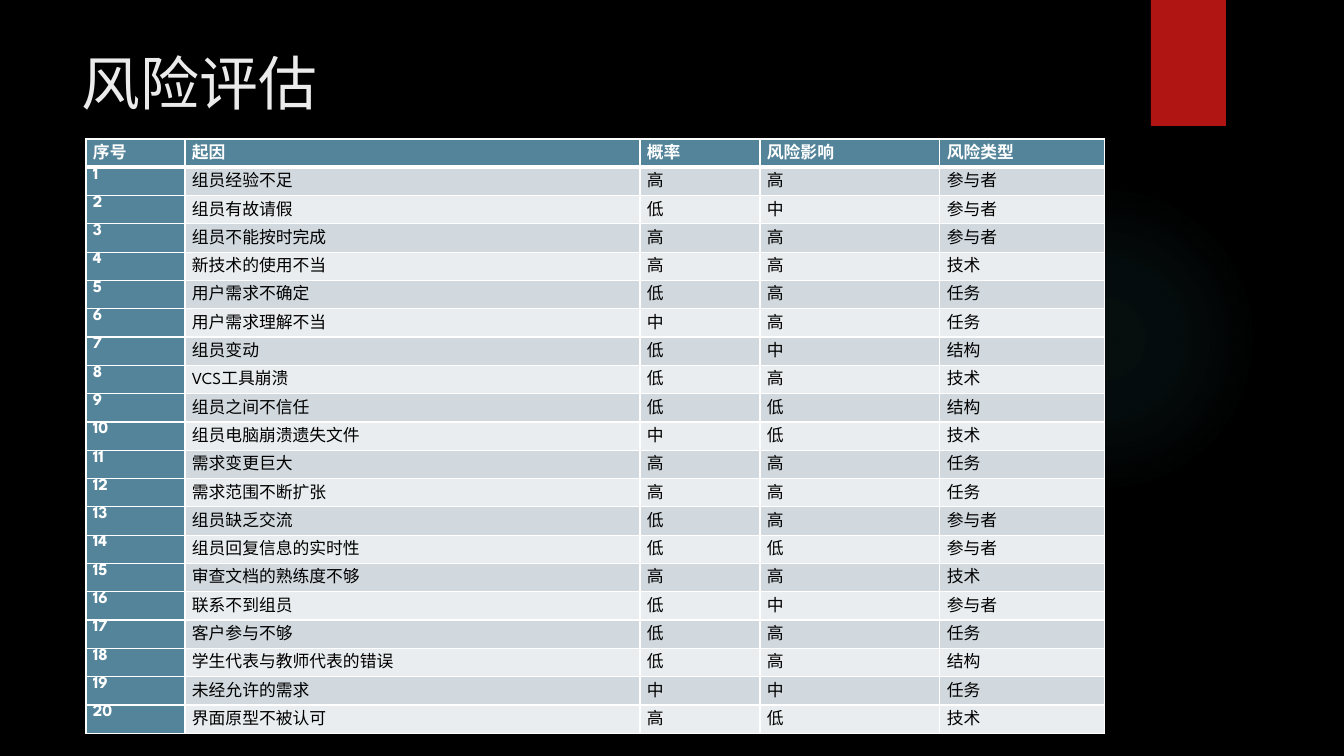
"""Build the risk assessment slide: a title and a table of twenty risks."""
import pptx
import pptx.dml.color
import pptx.enum.shapes
import pptx.enum.text
import pptx.util
from lxml import etree
from pptx.oxml import parse_xml

RGBColor = pptx.dml.color.RGBColor
MSO_SHAPE = pptx.enum.shapes.MSO_SHAPE
PX = 914400 / 100.8
NS = "http://schemas.openxmlformats.org/drawingml/2006/main"

BLACK = RGBColor(0x00, 0x00, 0x00)
WHITE = RGBColor(0xFF, 0xFF, 0xFF)
TITLE = RGBColor(0xEB, 0xEB, 0xEB)
RED = RGBColor(0xB0, 0x15, 0x13)
GLOW = RGBColor(0x50, 0xB9, 0xC1)
HEADER = RGBColor(0x54, 0x84, 0x9A)
BANDS = [RGBColor(0xE9, 0xED, 0xEF), RGBColor(0xD1, 0xD9, 0xDE)]

COLUMNS = [99, 455, 120, 180, 165]
HEADINGS = ["序号", "起因", "概率", "风险影响", "风险类型"]
RISKS = [
    ("组员经验不足", "高", "高", "参与者"),
    ("组员有故请假", "低", "中", "参与者"),
    ("组员不能按时完成", "高", "高", "参与者"),
    ("新技术的使用不当", "高", "高", "技术"),
    ("用户需求不确定", "低", "高", "任务"),
    ("用户需求理解不当", "中", "高", "任务"),
    ("组员变动", "低", "中", "结构"),
    ("VCS工具崩溃", "低", "高", "技术"),
    ("组员之间不信任", "低", "低", "结构"),
    ("组员电脑崩溃遗失文件", "中", "低", "技术"),
    ("需求变更巨大", "高", "高", "任务"),
    ("需求范围不断扩张", "高", "高", "任务"),
    ("组员缺乏交流", "低", "高", "参与者"),
    ("组员回复信息的实时性", "低", "低", "参与者"),
    ("审查文档的熟练度不够", "高", "高", "技术"),
    ("联系不到组员", "低", "中", "参与者"),
    ("客户参与不够", "低", "高", "任务"),
    ("学生代表与教师代表的错误", "低", "高", "结构"),
    ("未经允许的需求", "中", "中", "任务"),
    ("界面原型不被认可", "高", "低", "技术"),
]


def px(*lengths):
    return [round(n * PX) for n in lengths]


def add_border(cell, side, points):
    tcPr = cell._tc.get_or_add_tcPr()
    ln = etree.SubElement(tcPr, f"{{{NS}}}ln{side}", w=str(points * 12700))
    fill = etree.SubElement(ln, f"{{{NS}}}solidFill")
    etree.SubElement(fill, f"{{{NS}}}srgbClr", val=str(WHITE))


prs = pptx.Presentation()
prs.slide_width, prs.slide_height = px(1344, 756)
s = prs.slides.add_slide(prs.slide_layouts[6])
s.background.fill.solid()
s.background.fill.fore_color.rgb = BLACK

glow = s.shapes.add_shape(MSO_SHAPE.OVAL, *px(949, 184, 310, 310))
glow.shadow.inherit = False
glow.line.fill.background()
glow.fill.background()
stops = "".join(
    f'<a:gs pos="{pos * 1000}"><a:srgbClr val="{GLOW}">'
    f'<a:alpha val="{alpha * 1000}"/></a:srgbClr></a:gs>'
    for pos, alpha in [(0, 7), (36, 6), (69, 0), (100, 0)]
)
gradient = parse_xml(
    f'<a:gradFill xmlns:a="{NS}"><a:gsLst>{stops}</a:gsLst><a:path path="circle">'
    '<a:fillToRect l="50000" t="50000" r="50000" b="50000"/></a:path></a:gradFill>'
)
spPr = glow._element.spPr
spPr.replace(spPr.find(f"{{{NS}}}noFill"), gradient)

ribbon = s.shapes.add_shape(MSO_SHAPE.RECTANGLE, *px(1151, 0, 75, 126))
ribbon.shadow.inherit = False
ribbon.line.fill.background()
ribbon.fill.solid()
ribbon.fill.fore_color.rgb = RED

tf = s.shapes.add_textbox(*px(72, 50, 1037, 154)).text_frame
tf.word_wrap = True
tf.vertical_anchor = pptx.enum.text.MSO_ANCHOR.TOP
p = tf.paragraphs[0]
p.text = "风险评估"
p.line_spacing = 0.9
p.font.size = pptx.util.Pt(42)
p.font.name = "Noto Sans CJK SC"
p.font.color.rgb = TITLE

rows = [HEADINGS] + [(str(n), *risk) for n, risk in enumerate(RISKS, 1)]
frame = s.shapes.add_table(len(rows), len(COLUMNS), *px(86, 139, sum(COLUMNS), 595))
table = frame.table
for column, width in zip(table.columns, px(*COLUMNS)):
    column.width = width
for i, values in enumerate(rows):
    table.rows[i].height = px(595 / len(rows))[0]
    for j, value in enumerate(values):
        cell = table.cell(i, j)
        heading = i == 0 or j == 0
        cell.margin_left = cell.margin_right = px(7)[0]
        cell.margin_top = cell.margin_bottom = 0
        add_border(cell, "L", 1)
        add_border(cell, "R", 1)
        add_border(cell, "T", 3 if i == 1 else 1)
        add_border(cell, "B", 3 if i == 0 else 1)
        cell.fill.solid()
        cell.fill.fore_color.rgb = HEADER if heading else BANDS[i % 2]
        p = cell.text_frame.paragraphs[0]
        p.text = value
        p.font.size = pptx.util.Pt(12)
        p.font.name = "League Spartan"
        p.font.bold = heading
        p.font.color.rgb = WHITE if heading else BLACK

prs.save("out.pptx")
